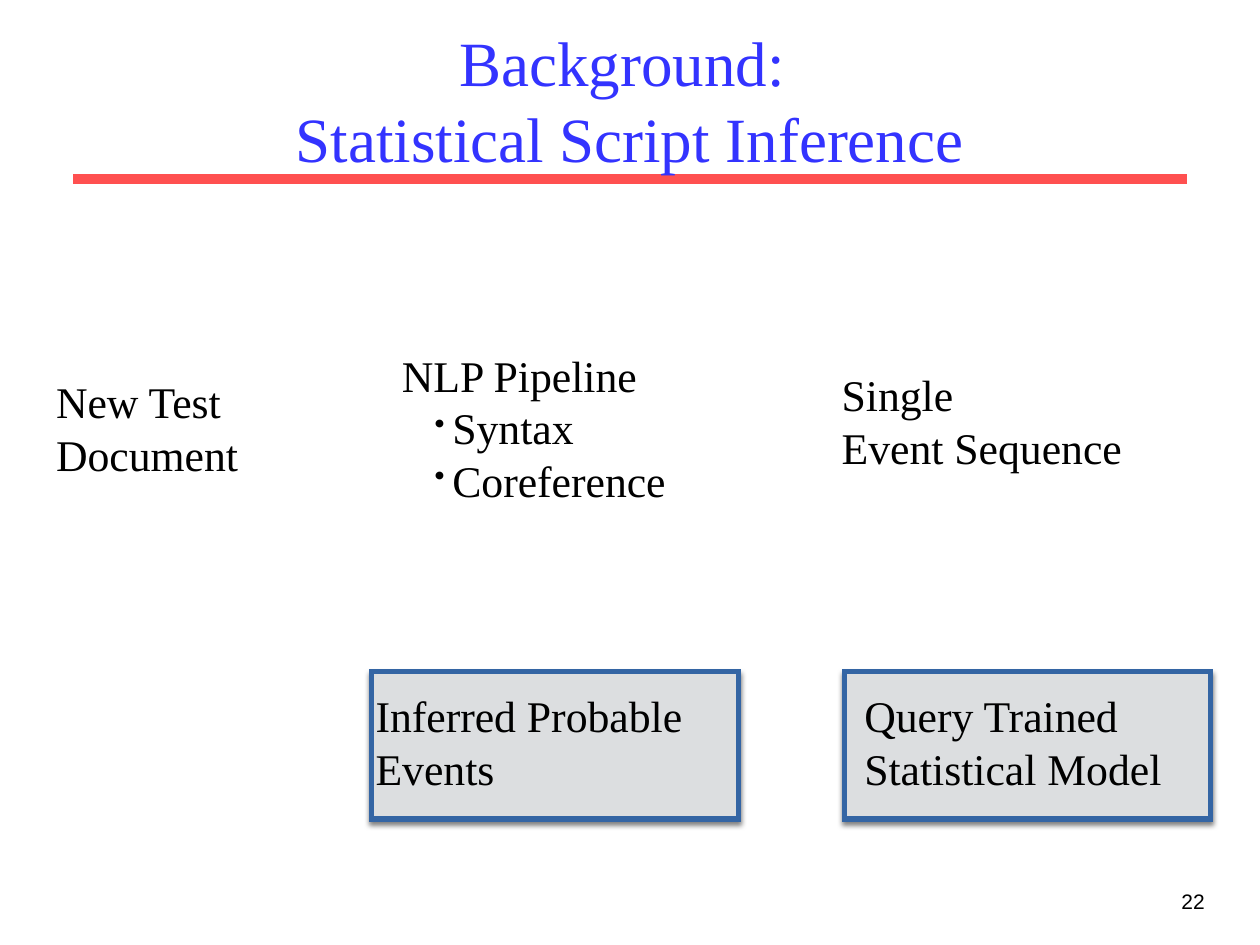
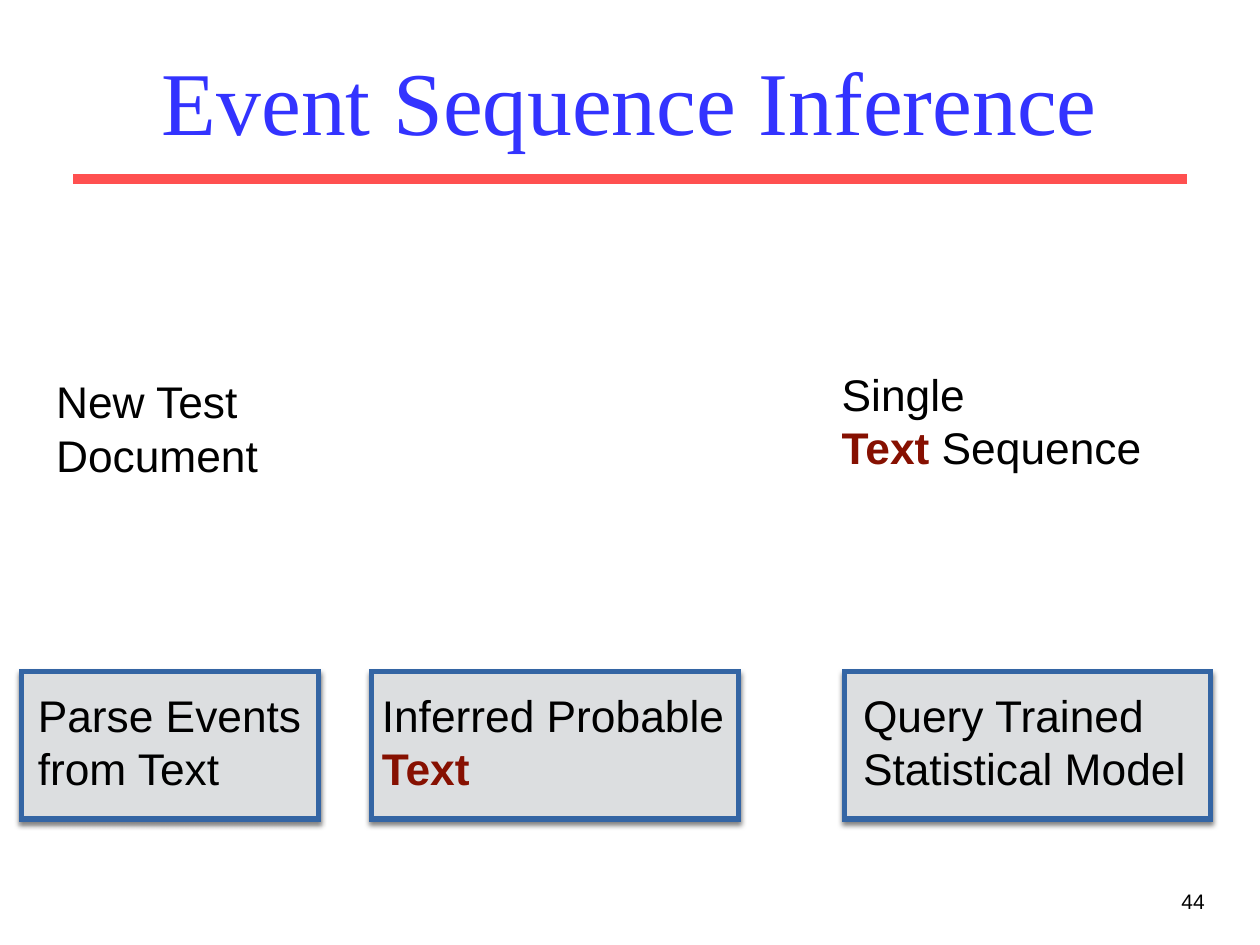
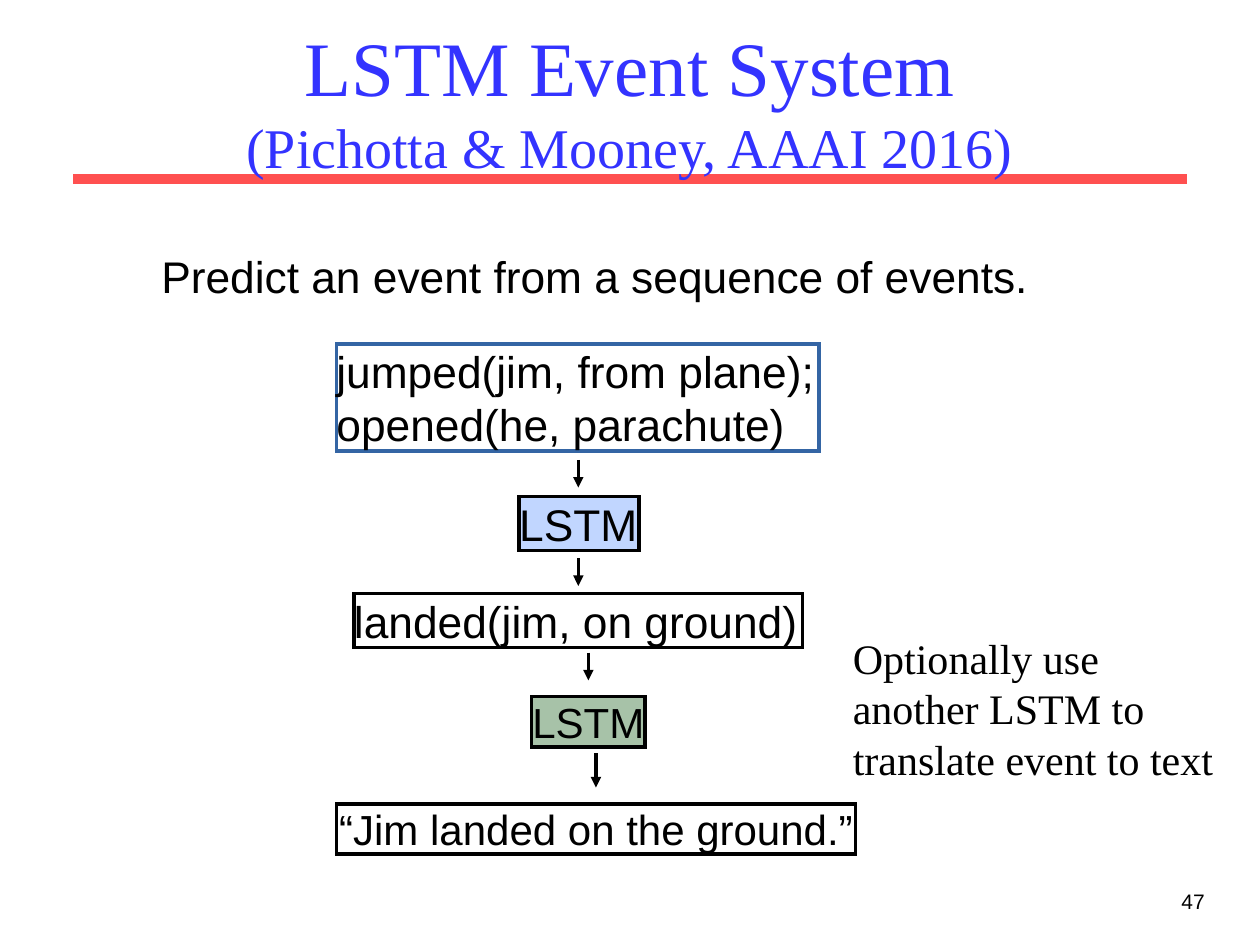
from lxml import etree
from pptx import Presentation
from pptx import util as u
from pptx.dml.color import RGBColor
from pptx.enum import shapes, text
from pptx.oxml import parse_xml
from pptx.oxml.ns import nsdecls, qn

# Palette and fonts
BLACK = RGBColor(0x00, 0x00, 0x00)
TITLE_BLUE = RGBColor(0x33, 0x33, 0xFF)
RULE_RED = RGBColor(0xFF, 0x50, 0x50)
PANEL_GREY = RGBColor(0xDC, 0xDE, 0xE0)
EDGE_BLUE = RGBColor(0x34, 0x65, 0xA4)
ACCENT_RED = RGBColor(0x86, 0x10, 0x01)
EVENT_BLUE = RGBColor(0xC1, 0xD6, 0xFF)
TEXT_GREEN = RGBColor(0xA7, 0xC2, 0xA8)
SERIF, SANS = "Times New Roman", "Arial"

# Grid: 100 columns by 75 rows of square cells
WIDTH, HEIGHT = u.Inches(10), u.Inches(7.5)
COLUMN, ROW = WIDTH / 100, HEIGHT / 75
PANEL_TOP, PANEL_ROWS = 53.3, 11.7
LABEL_TOP, LABEL_ROWS = 54.2, 9.3

# Text formats
SERIF_BODY = {"name": SERIF, "size": 25, "color": BLACK}
SANS_BODY = {"name": SANS, "size": 25.3, "color": BLACK}
SANS_SMALL = {**SANS_BODY, "size": 24}
NOTE = {**SERIF_BODY, "size": 24}
NUMBER = {**SANS_BODY, "size": 12}
ACCENT = {"color": ACCENT_RED, "bold": True}

LEFT, CENTER, RIGHT = (text.PP_ALIGN.LEFT, text.PP_ALIGN.CENTER,
                       text.PP_ALIGN.RIGHT)


def area(left, top, columns, rows):
    """Turn grid cells into slide lengths."""
    return (int(left * COLUMN), int(top * ROW),
            int(columns * COLUMN), int(rows * ROW))


def style_font(font, style):
    for key, value in style.items():
        if key == "color":
            font.color.rgb = value
        else:
            setattr(font, key, u.Pt(value) if key == "size" else value)


def set_frame(frame, inset=0.04, wrap=False, grow=True,
              anchor=text.MSO_ANCHOR.MIDDLE):
    fit = text.MSO_AUTO_SIZE
    settings = {"word_wrap": wrap, "vertical_anchor": anchor,
                "auto_size": fit.SHAPE_TO_FIT_TEXT if grow else fit.NONE}
    if inset is not None:
        for side in ("left", "right", "top", "bottom"):
            settings["margin_" + side] = u.Inches(inset)
    for key, value in settings.items():
        setattr(frame, key, value)


def write(frame, lines, style, align=LEFT):
    """Each line is a string or a list of (words, extra format) spans."""
    for index, line in enumerate(lines):
        para = frame.add_paragraph() if index else frame.paragraphs[0]
        para.alignment = align
        spans = [(line, {})] if isinstance(line, str) else line
        for words, extra in spans:
            span = para.add_run()
            span.text = words
            style_font(span.font, {**style, **extra})


def add_text(page, place, lines, style, align=LEFT, **frame_settings):
    box = page.shapes.add_textbox(*area(*place))
    set_frame(box.text_frame, **frame_settings)
    write(box.text_frame, lines, style, align)
    return box


def add_bullet(para):
    properties = para._p.get_or_add_pPr()
    properties.set("marL", str(u.Inches(0.4)))
    properties.set("indent", str(-u.Inches(0.14)))
    etree.SubElement(properties, qn("a:buSzPct")).set("val", "68000")
    etree.SubElement(properties, qn("a:buChar")).set("char", "•")


def outline(box, color, points):
    """Solid line with square corners."""
    box.line.color.rgb = color
    box.line.width = u.Pt(points)
    edge = box.element.spPr.find(qn("a:ln"))
    etree.SubElement(edge, qn("a:miter")).set("lim", "800000")
    return edge


def add_line(page, start, end, color, points, arrow=False):
    line = page.shapes.add_connector(
        shapes.MSO_CONNECTOR.STRAIGHT,
        int(start[0] * COLUMN), int(start[1] * ROW),
        int(end[0] * COLUMN), int(end[1] * ROW))
    edge = outline(line, color, points)
    if arrow:
        etree.SubElement(edge, qn("a:tailEnd")).set("type", "triangle")
    etree.SubElement(line.element.spPr, qn("a:effectLst"))
    return line


def add_rectangle(page, place, fill=None):
    box = page.shapes.add_shape(shapes.MSO_SHAPE.RECTANGLE, *area(*place))
    box.shadow.inherit = False
    if fill is None:
        box.fill.background()
    else:
        box.fill.solid()
        box.fill.fore_color.rgb = fill
    return box


def add_panel(page, left, columns, label_left, label_columns, lines, style):
    """Grey box with a soft shadow and a label laid over it."""
    panel = add_rectangle(page, (left, PANEL_TOP, columns, PANEL_ROWS),
                          PANEL_GREY)
    outline(panel, EDGE_BLUE, 3)
    effects = panel.element.spPr.find(qn("a:effectLst"))
    effects.append(parse_xml(
        f'<a:outerShdw {nsdecls("a")} blurRad="{u.Pt(3)}" dist="{u.Pt(2)}" '
        'dir="5400000" rotWithShape="0"><a:srgbClr val="000000">'
        '<a:alpha val="50000"/></a:srgbClr></a:outerShdw>'))
    add_text(page, (label_left, LABEL_TOP, label_columns, LABEL_ROWS),
             lines, style)


def add_step(page, place, label, style, align=LEFT, fill=None):
    step = add_rectangle(page, place, fill)
    outline(step, BLACK, 2)
    set_frame(step.text_frame, inset=0)
    write(step.text_frame, [label], style, align)


def new_page(deck, title_spans, number):
    """Title, red rule and page number."""
    page = deck.slides.add_slide(deck.slide_layouts[5])
    title = page.shapes.title
    title.left, title.top, title.width, title.height = area(7.5, 2.5, 85, 10.8)
    set_frame(title.text_frame, inset=None, wrap=True, grow=False)
    para = title.text_frame.paragraphs[0]
    para.alignment = CENTER
    for index, (words, size) in enumerate(title_spans):
        if index:
            para.add_line_break()
        span = para.add_run()
        span.text = words
        style_font(span.font,
                   {"name": SERIF, "size": size, "color": TITLE_BLUE})
    rule = add_line(page, (5.8, 14.2), (94.2, 14.2), RULE_RED, 6)
    page.shapes.element.insert(2, rule.element)
    add_text(page, (75.8, 70, 20.8, 5), [number], NUMBER, RIGHT, inset=None,
             wrap=True, grow=False, anchor=text.MSO_ANCHOR.TOP)
    return page


def add_inputs(page, style, document_columns, sequence):
    """Test document on the left, single sequence on the right."""
    add_text(page, (4.05, 29.3, document_columns, 9.3),
             ["New Test", "Document"], style)
    add_text(page, (66.4, 27.9, 30.3, 10.9), ["Single", sequence], style,
             wrap=True, grow=False)


def script_inference(deck):
    page = new_page(deck, [("Background: ", 36),
                           ("Statistical Script Inference", 36)], "22")
    add_inputs(page, SERIF_BODY, 15.8, "Event Sequence")
    pipeline = add_text(page, (31.5, 27.2, 22, 13.4),
                        ["NLP Pipeline", "Syntax", "Coreference"], SERIF_BODY)
    for para in pipeline.text_frame.paragraphs[1:]:
        add_bullet(para)
    add_panel(page, 67, 29.1, 68.2, 24.7,
              ["Query Trained", "Statistical Model"], SERIF_BODY)
    add_panel(page, 29.5, 29.1, 29.4, 25.5,
              ["Inferred Probable", "Events"], SERIF_BODY)


def sequence_inference(deck):
    page = new_page(deck, [("Event Sequence Inference", 51.2)], "44")
    add_inputs(page, SANS_BODY, 17.4, [("Text", ACCENT), (" Sequence", {})])
    add_panel(page, 67, 29.1, 68.1, 26.6,
              ["Query Trained", "Statistical Model"], SANS_BODY)
    add_panel(page, 29.5, 29.1, 29.9, 28.2,
              ["Inferred Probable", [("Text", ACCENT)]], SANS_BODY)
    add_panel(page, 1.7, 23.6, 2.6, 22.9,
              ["Parse Events", "from Text"], SANS_BODY)


def event_system(deck):
    page = new_page(deck, [("LSTM Event System", 44),
                           ("(Pichotta & Mooney, AAAI 2016)", 32)], "47")
    events = add_text(page, (26.7, 27.3, 38.3, 8.5),
                      ["jumped(jim, from plane);", "opened(he, parachute)"],
                      SANS_BODY, inset=0)
    outline(events, EDGE_BLUE, 2)
    add_text(page, (12.4, 19.4, 70.3, 5),
             ["Predict an event from a sequence of events."], SANS_BODY)

    # Chain of steps, each with the arrow that leads into it
    chain = [
        ((41.2, 39.4, 9.5, 4.3), "LSTM", SANS_BODY, LEFT, EVENT_BLUE,
         (45.9, 36.5, 38.7)),
        ((28.1, 47.1, 35.6, 4.3), "landed(jim, on ground)", SANS_BODY, LEFT,
         None, (45.9, 44.3, 46.5)),
        ((42.2, 55.3, 9, 4), "LSTM", SANS_SMALL, CENTER, TEXT_GREEN,
         (46.7, 51.8, 54)),
        ((26.7, 63.8, 41.2, 4), "“Jim landed on the ground.”", SANS_SMALL,
         CENTER, None, (47.3, 59.8, 62.5)),
    ]
    for place, label, style, align, fill, (column, start, end) in chain:
        add_step(page, place, label, style, align, fill)
        add_line(page, (column, start), (column, end), BLACK, 2, arrow=True)

    add_text(page, (66.7, 49.7, 30.8, 13.1),
             ["Optionally use another LSTM to translate event to text"], NOTE,
             inset=None, wrap=True, anchor=text.MSO_ANCHOR.TOP)


def main():
    deck = Presentation()
    deck.slide_width, deck.slide_height = WIDTH, HEIGHT
    script_inference(deck)
    sequence_inference(deck)
    event_system(deck)
    deck.save("out.pptx")


if __name__ == "__main__":
    main()
